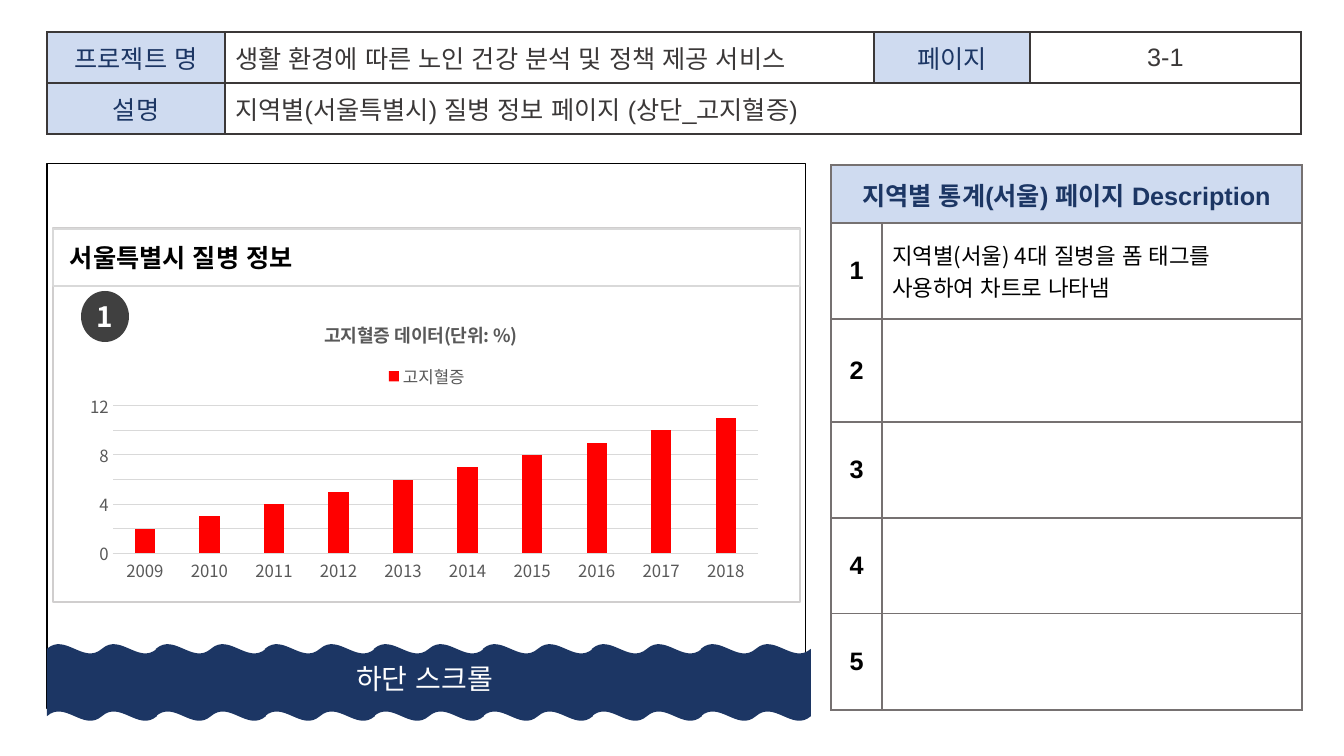
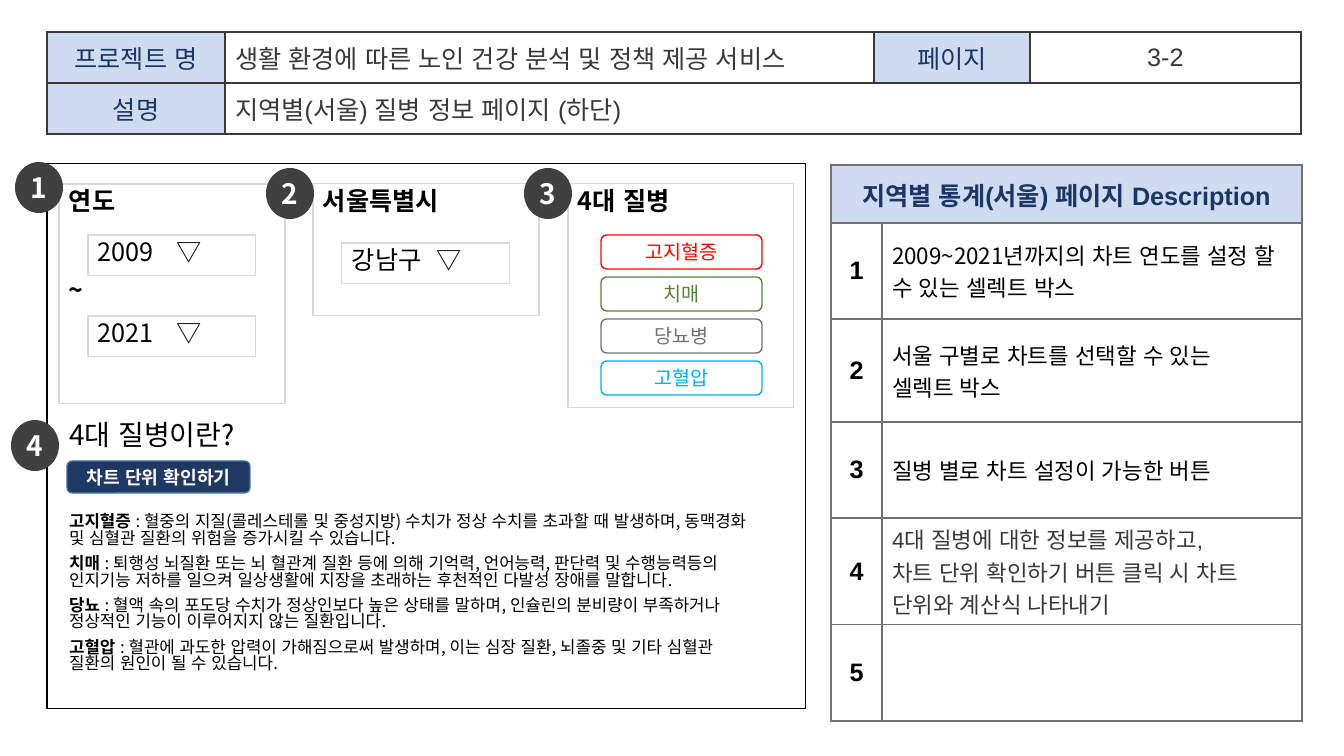
"""Build two storyboard slides for a regional disease statistics page."""
from dataclasses import dataclass

from lxml import etree
from pptx import Presentation
from pptx.chart.data import CategoryChartData
from pptx.dml.color import RGBColor
from pptx.enum.chart import XL_CHART_TYPE as CHART, XL_LEGEND_POSITION as LEGEND, XL_TICK_MARK as TICK
from pptx.enum.lang import MSO_LANGUAGE_ID as LANG
from pptx.enum.shapes import MSO_SHAPE as SHAPE
from pptx.enum.text import MSO_ANCHOR as ANCHOR, MSO_AUTO_SIZE as AUTOSIZE, PP_ALIGN as ALIGN
from pptx.oxml import parse_xml
from pptx.oxml.ns import nsdecls, qn
from pptx.util import Pt


@dataclass(frozen=True)
class Theme:
    navy: str = "1C3664"
    button: str = "203864"
    button_edge: str = "43739E"
    pale: str = "CFDBF0"
    white: str = "FFFFFF"
    black: str = "000000"
    ink: str = "3B3838"
    dark: str = "404040"
    label: str = "595959"
    gray: str = "767171"
    edge: str = "D9D9D9"
    panel: str = "D0CECE"
    red: str = "FF0000"
    green: str = "548235"
    sky: str = "00B0F0"
    latin: str = "Arial"
    korean: str = "Noto Sans CJK KR"
    large: int = 20
    heading: int = 18
    note: int = 16
    option: int = 14
    caption: int = 13
    small: int = 12


T = Theme()
PX = 12192000 // 1344
CENTER, LEFT, MIDDLE = ALIGN.CENTER, ALIGN.LEFT, ANCHOR.MIDDLE


def write(tf, text, size, color, bold=False, align=LEFT, font=T.korean, spacing=None, lead="", **frame):
    """Append paragraphs to a text frame, with an optional bold lead."""
    for name, value in frame.items():
        setattr(tf, name, value)
    for line in text.split("\n"):
        p = tf.add_paragraph() if tf.text else tf.paragraphs[0]
        p.alignment = align
        if spacing:
            p.line_spacing = spacing
        for part, weight in ((lead, True), (line, bold)):
            if part:
                r = p.add_run()
                r.text = part
                fmt = {"size": Pt(size), "bold": weight, "name": font, "language_id": LANG.KOREAN}
                for name, value in fmt.items():
                    setattr(r.font, name, value)
                r.font.color.rgb = RGBColor.from_string(color)
                etree.SubElement(r.font._element, qn("a:ea"), typeface=T.korean)


def box(s, kind, x, y, w, h, fill=None, line=None, weight=0.75):
    """Add a preset shape without shadow and return its text frame."""
    sp = s.shapes.add_shape(kind, x * PX, y * PX, w * PX, h * PX)
    sp.shadow.inherit = False
    for part, color in ((sp.fill, fill), (sp.line.fill, line)):
        if color:
            part.solid()
            part.fore_color.rgb = RGBColor.from_string(color)
        else:
            part.background()
    if line:
        sp.line.width = Pt(weight)
    sp.text_frame.word_wrap = True
    sp.text_frame.vertical_anchor = ANCHOR.TOP
    return sp.text_frame


prs = Presentation()
prs.slide_width, prs.slide_height = 1344 * PX, 756 * PX

pages = [
    {"layout": 5, "number": "3-1", "about": "지역별(서울특별시) 질병 정보 페이지 (상단_고지혈증)",
     "title": "서울특별시 질병 정보", "title_at": (53, 229, 747, 57),
     "title_fmt": {"size": T.heading, "bold": True, "font": T.latin,
                   "vertical_anchor": MIDDLE, "margin_left": 17 * PX},
     "notes": ["지역별(서울) 4대 질병을 폼 태그를 사용하여 차트로 나타냄", "", "", "", ""],
     "badges": []},
    {"layout": 1, "number": "3-2", "about": "지역별(서울) 질병 정보 페이지 (하단)",
     "title": "4대 질병이란?", "title_at": (59, 416, 735, 46),
     "title_fmt": {"size": T.large, "spacing": 0.9, "vertical_anchor": ANCHOR.TOP},
     "notes": ["2009~2021년까지의 차트 연도를 설정 할 수 있는 셀렉트 박스",
               "서울 구별로 차트를 선택할 수 있는\n셀렉트 박스",
               "질병 별로 차트 설정이 가능한 버튼",
               "4대 질병에 대한 정보를 제공하고,\n차트 단위 확인하기 버튼 클릭 시 차트 단위와 계산식 나타내기", ""],
     "badges": []},
]

head = {"size": T.heading, "color": T.navy, "font": T.latin, "align": CENTER}
plain = {"size": T.heading, "color": T.ink, "font": T.latin}
number = {"size": T.heading, "color": T.black, "font": T.latin, "align": CENTER, "bold": True}
note = {"size": T.note, "color": T.black}
note_ink = {"size": T.note, "color": T.ink, "font": T.latin}

for page in pages:
    s = prs.slides.add_slide(prs.slide_layouts[page["layout"]])
    title = s.shapes.title
    title.left, title.top, title.width, title.height = (n * PX for n in page["title_at"])
    write(title.text_frame, page["title"], color=T.black, auto_size=AUTOSIZE.NONE, **page["title_fmt"])
    box(s, SHAPE.RECTANGLE, 47, 164, 759, 545, line=T.black, weight=0)

    header = [
        [("프로젝트 명", head), ("생활 환경에 따른 노인 건강 분석 및 정책 제공 서비스", plain),
         ("페이지", head), (page["number"], plain | {"align": CENTER})],
        [("설명", head), (page["about"], plain), ("", plain), ("", plain)],
    ]
    description = [[("지역별 통계(서울) 페이지 Description", head | {"bold": True}), ("", head)]]
    for i, text in enumerate(page["notes"], 1):
        description.append([(str(i), number), (text, note_ink if i == 4 else note)])

    tables = [
        (47, 32, [178, 649, 156, 271], [51, 51], header, (1, 1, 3), T.ink, 1.5),
        (831, 165, [51, 420], [58, 96, 103, 96, 96, 96], description, (0, 0, 1), T.gray, 1),
    ]
    for x, y, cols, rows, cells, (merge_row, first, last), edge, inner in tables:
        tbl = s.shapes.add_table(len(rows), len(cols), x * PX, y * PX, sum(cols) * PX, sum(rows) * PX).table
        tbl.first_row = tbl.horz_banding = False
        for col, w in zip(tbl.columns, cols):
            col.width = w * PX
        for row, h in zip(tbl.rows, rows):
            row.height = h * PX
        tbl.cell(merge_row, first).merge(tbl.cell(merge_row, last))
        for i, line in enumerate(cells):
            for j, (text, fmt) in enumerate(line):
                cell = tbl.cell(i, j)
                cell.vertical_anchor = MIDDLE
                outer = {"L": j == 0, "R": j == len(cols) - 1, "T": i == 0, "B": i == len(rows) - 1}
                for side, is_outer in outer.items():
                    width = Pt(1.5 if is_outer else inner)
                    cell._tc.get_or_add_tcPr().append(parse_xml(
                        f'<a:ln{side} {nsdecls("a")} w="{width}"><a:solidFill>'
                        f'<a:srgbClr val="{edge}"/></a:solidFill></a:ln{side}>'))
                cell.fill.solid()
                shade = T.pale if fmt["color"] == T.navy else T.white
                cell.fill.fore_color.rgb = RGBColor.from_string(shade)
                if text:
                    write(cell.text_frame, text, **fmt)

top, bottom = prs.slides

box(top, SHAPE.RECTANGLE, 53, 228, 747, 374, line=T.panel, weight=1)
box(top, SHAPE.RECTANGLE, 53, 229, 747, 57, line=T.edge, weight=1)

data = CategoryChartData()
data.categories = [str(year) for year in range(2009, 2019)]
data.add_series("고지혈증", range(2, 12))
chart = top.shapes.add_chart(CHART.COLUMN_CLUSTERED, 78 * PX, 299 * PX, 694 * PX, 289 * PX, data).chart
chart.font.name, chart.font.size = T.korean, Pt(T.small)
chart.font.color.rgb = RGBColor.from_string(T.label)
chart.has_title = chart.has_legend = True
write(chart.chart_title.text_frame, "고지혈증 데이터(단위: %)", T.caption, T.label, bold=True)
chart.legend.position, chart.legend.include_in_layout = LEGEND.TOP, False
plot = chart.plots[0]
plot.gap_width, plot.overlap, plot.vary_by_categories = 219, -27, False
bars = plot.series[0].format.fill
bars.solid()
bars.fore_color.rgb = RGBColor.from_string(T.red)
values, years = chart.value_axis, chart.category_axis
values.minimum_scale, values.maximum_scale, values.major_unit = 0, 12, 2
values.format.line.fill.background()
for axis in (values, years):
    axis.major_tick_mark = axis.minor_tick_mark = TICK.NONE
for line in (values.major_gridlines.format.line, years.format.line):
    line.color.rgb = RGBColor.from_string(T.edge)
    line.width = Pt(0.75)

layouts = [
    ("c:title", 1, {"x": 0.35, "y": 0.06}),
    ("c:legend", 1, {"x": 0.44, "y": 0.21}),
    ("c:plotArea", 0, {"x": 0.05, "y": 0.37, "w": 0.93, "h": 0.51}),
]
for tag, index, place in layouts:
    part = chart._chartSpace.chart.find(qn(tag))
    for old in part.findall(qn("c:layout")):
        part.remove(old)
    target = '<c:layoutTarget val="inner"/>' if "w" in place else ""
    modes = "".join(f'<c:{k}Mode val="edge"/>' for k in "xy")
    sizes = "".join(f'<c:{k} val="{v}"/>' for k, v in place.items())
    part.insert(index, parse_xml(
        f'<c:layout {nsdecls("c")}><c:manualLayout>{target}{modes}{sizes}</c:manualLayout></c:layout>'))

for i in range(7):
    box(top, SHAPE.DOUBLE_WAVE, 47 + 109 * i, 644, 110, 77, fill=T.navy)
scroll = box(top, SHAPE.RECTANGLE, 339, 656, 171, 44)
write(scroll, "하단 스크롤", T.large, T.white, align=CENTER, vertical_anchor=MIDDLE)

body = bottom.placeholders[1]
body.left, body.top, body.width, body.height = 59 * PX, 509 * PX, 705 * PX, 198 * PX
diseases = {
    "고지혈증": "혈중의 지질(콜레스테롤 및 중성지방) 수치가 정상 수치를 초과할 때 발생하며, "
            "동맥경화 및 심혈관 질환의 위험을 증가시킬 수 있습니다.",
    "치매": "퇴행성 뇌질환 또는 뇌 혈관계 질환 등에 의해 기억력, 언어능력, 판단력 및 수행능력등의 "
          "인지기능 저하를 일으켜 일상생활에 지장을 초래하는 후천적인 다발성 장애를 말합니다.",
    "당뇨": "혈액 속의 포도당 수치가 정상인보다 높은 상태를 말하며, 인슐린의 분비량이 부족하거나 "
          "정상적인 기능이 이루어지지 않는 질환입니다.",
    "고혈압": "혈관에 과도한 압력이 가해짐으로써 발생하며, 이는 심장 질환, 뇌졸중 및 기타 심혈관 "
           "질환의 원인이 될 수 있습니다.",
}
for name, meaning in diseases.items():
    write(body.text_frame, f": {meaning}", T.small, T.black, spacing=0.83, lead=f"{name} ",
          auto_size=AUTOSIZE.NONE)
for p in body.text_frame.paragraphs:
    p.space_before, p.space_after = Pt(0), Pt(6)
    pPr = p._p.get_or_add_pPr()
    pPr.set("marL", "0")
    pPr.set("indent", "0")
    etree.SubElement(pPr, qn("a:buNone"))

confirm = box(bottom, SHAPE.ROUNDED_RECTANGLE, 67, 461, 183, 32, T.button, T.button_edge, 1)
write(confirm, "차트 단위 확인하기", T.caption, T.white, bold=True, align=CENTER, vertical_anchor=MIDDLE)

for x, h, text in ((59, 220, "연도"), (313, 132, "서울특별시"), (568, 224, "4대 질병")):
    card = box(bottom, SHAPE.RECTANGLE, x, 184, 226, h, line=T.edge)
    write(card, text, T.heading, T.black, bold=True, spacing=0.9)
write(box(bottom, SHAPE.RECTANGLE, 59, 269, 40, 46), "~", T.heading, T.black, bold=True)

for x, y, text, offset in ((88, 235, "2009", 79), (88, 316, "2021", 79), (342, 243, "강남구", 85)):
    select = box(bottom, SHAPE.RECTANGLE, x, y, 168, 41, line=T.edge)
    arrow = box(bottom, SHAPE.RECTANGLE, x + offset, y, 50, 41)
    for tf, label in ((select, text), (arrow, "▽")):
        write(tf, label, T.heading, T.black, spacing=0.9)

options = [("고지혈증", T.red), ("치매", T.green), ("당뇨병", T.gray), ("고혈압", T.sky)]
for i, (text, color) in enumerate(options):
    option = box(bottom, SHAPE.ROUNDED_RECTANGLE, 601, 235 + 42 * i, 161, 34, line=color, weight=1)
    write(option, text, T.option, color, align=CENTER, vertical_anchor=MIDDLE)

badges = [(top, 81, 291, "1"), (bottom, 15, 162, "1"), (bottom, 266, 168, "2"),
          (bottom, 524, 168, "3"), (bottom, 11, 420, "4")]
for s, x, y, text in badges:
    badge = box(s, SHAPE.OVAL, x, y, 48, 51, fill=T.dark)
    write(badge, text, T.large, T.white, bold=True, align=CENTER, vertical_anchor=MIDDLE,
          margin_left=0, margin_right=0)

prs.save("out.pptx")
